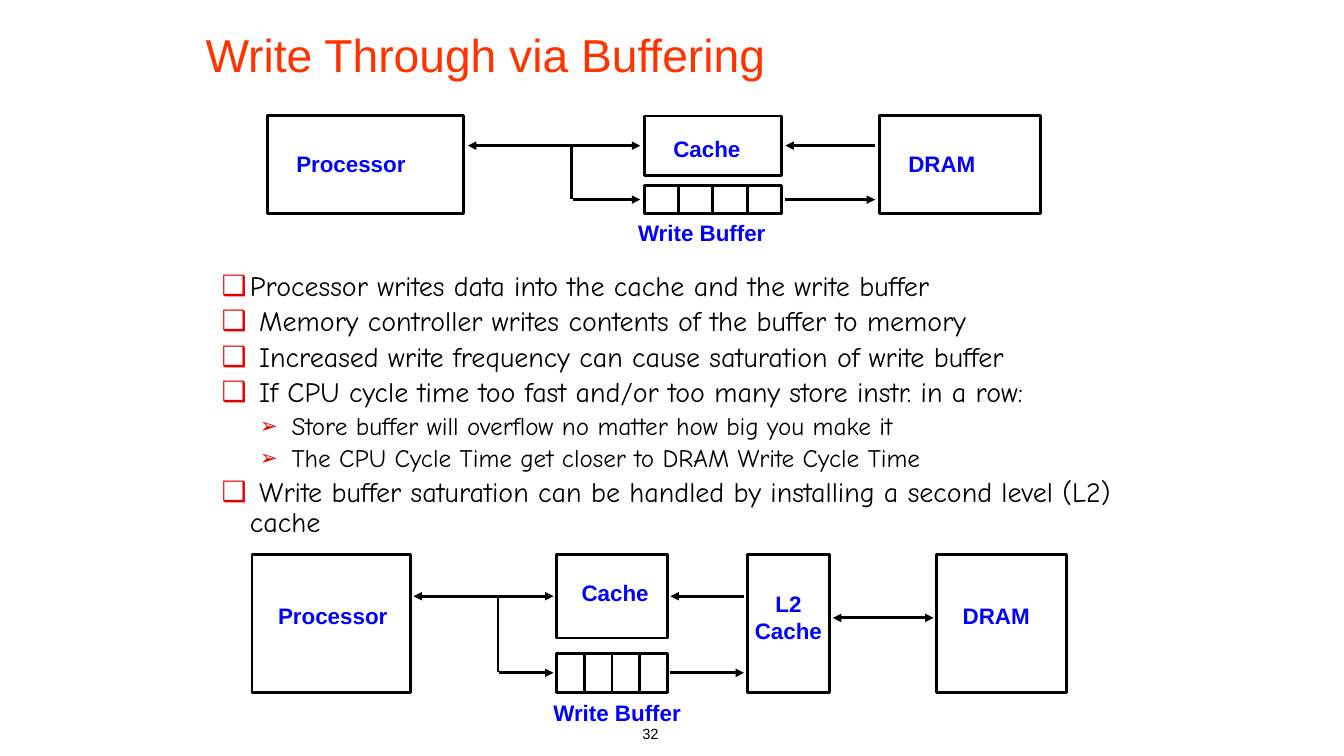
"""Build the slide on write-through caching with a write buffer."""
from collections import namedtuple

from lxml import etree
from pptx import Presentation
from pptx.dml.color import RGBColor
from pptx.enum.shapes import MSO_CONNECTOR, MSO_SHAPE
from pptx.enum.text import MSO_ANCHOR, MSO_AUTO_SIZE, PP_ALIGN
from pptx.oxml.ns import qn
from pptx.util import Inches, Pt

RECTANGLE = MSO_SHAPE.RECTANGLE
STRAIGHT = MSO_CONNECTOR.STRAIGHT
LEFT, CENTER, RIGHT = PP_ALIGN.LEFT, PP_ALIGN.CENTER, PP_ALIGN.RIGHT
TOP, MIDDLE = MSO_ANCHOR.TOP, MSO_ANCHOR.MIDDLE
FIXED, GROW = MSO_AUTO_SIZE.NONE, MSO_AUTO_SIZE.SHAPE_TO_FIT_TEXT

COLORS = {"ink": "000000", "title": "FF3300", "label": "0000FF", "bullet": "E40000"}
Box = namedtuple("Box", "left top width height")

POINTS = [
    (0, "Processor writes data into the cache and the write buffer"),
    (0, " Memory controller writes contents of the buffer to memory"),
    (0, " Increased write frequency can cause saturation of write buffer"),
    (0, " If CPU cycle time too fast and/or too many store instr. in a row:"),
    (1, " Store buffer will overflow no matter how big you make it"),
    (1, " The CPU Cycle Time get closer to DRAM Write Cycle Time"),
    (0, " Write buffer saturation can be handled by installing a second level (L2) cache"),
]
LEVELS = [
    {"size": 20, "margin": 0.28, "hanging": 0.28, "mark": "❑", "percent": 100},
    {"size": 18, "margin": 0.61, "hanging": 0.23, "mark": "➢", "percent": 85},
]


def write(paragraph, text, size=16, color="label", font="Arial", bold=False, align=LEFT):
    paragraph.alignment = align
    run = paragraph.add_run()
    run.text = text
    run.font.size = Pt(size)
    run.font.name = font
    run.font.bold = bold
    run.font.color.rgb = RGBColor.from_string(COLORS[color])


class SlideBuilder:
    """Draw text, boxes and lines on one slide in a shared style."""

    def __init__(self, slide, line_width=2):
        self.slide = slide
        self.line_width = line_width

    def frame(self, box, wrap=True, anchor=TOP):
        shape = self.slide.shapes.add_textbox(*map(Inches, box))
        shape.text_frame.word_wrap = wrap
        shape.text_frame.auto_size = FIXED if wrap else GROW
        shape.text_frame.vertical_anchor = anchor
        return shape.text_frame

    def text(self, box, text, wrap=True, anchor=TOP, **style):
        frame = self.frame(box, wrap, anchor)
        for index, line in enumerate(text.split("\n")):
            paragraph = frame.add_paragraph() if index else frame.paragraphs[0]
            write(paragraph, line, **style)

    def label(self, box, text, align=LEFT):
        self.text(box, text, wrap=False, bold=True, align=align)

    def bullets(self, box, points):
        frame = self.frame(box)
        for index, (depth, text) in enumerate(points):
            level = LEVELS[depth]
            paragraph = frame.add_paragraph() if index else frame.paragraphs[0]
            paragraph.level = depth
            paragraph.line_spacing = 0.9
            paragraph.space_before = Pt(level["size"] * 0.19 if index else 0)
            properties = paragraph._p.get_or_add_pPr()
            properties.set("marL", str(Inches(level["margin"])))
            properties.set("indent", str(-Inches(level["hanging"])))
            color = etree.SubElement(properties, qn("a:buClr"))
            etree.SubElement(color, qn("a:srgbClr"), val=COLORS["bullet"])
            etree.SubElement(properties, qn("a:buSzPct"), val=str(level["percent"] * 1000))
            etree.SubElement(properties, qn("a:buFont"), typeface="Arial")
            etree.SubElement(properties, qn("a:buChar"), char=level["mark"])
            write(paragraph, text, size=level["size"], color="ink", font="Comic Neue")

    def rectangle(self, box):
        shape = self.slide.shapes.add_shape(RECTANGLE, *map(Inches, box))
        shape.shadow.inherit = False
        shape.fill.background()
        shape.line.color.rgb = RGBColor.from_string(COLORS["ink"])
        shape.line.width = Pt(self.line_width)
        return shape

    def line(self, x1, y1, x2, y2, ends=()):
        connector = self.slide.shapes.add_connector(STRAIGHT, *map(Inches, (x1, y1, x2, y2)))
        connector.line.color.rgb = RGBColor.from_string(COLORS["ink"])
        connector.line.width = Pt(self.line_width)
        outline = connector.line._get_or_add_ln()
        for end in ends:
            etree.SubElement(outline, qn(f"a:{end}End"), type="triangle")
        etree.SubElement(connector._element.spPr, qn("a:effectLst"))
        return connector

    def buffer(self, box, cells=4):
        shape = self.rectangle(box)
        for index in range(1, cells):
            x = box.left + box.width * index / cells
            divider = self.line(x, box.top, x, box.top + box.height)
            if index * 2 == cells:
                divider.begin_connect(shape, 0)
                divider.end_connect(shape, 2)

    def write_path(self, processor, cache, buffer, memory, branch, gap):
        for box in (processor, cache, memory):
            self.rectangle(box)
        self.buffer(buffer)
        cache_y = cache.top + cache.height / 2
        buffer_y = buffer.top + buffer.height / 2
        start = processor.left + processor.width + gap
        inlet = cache.left - gap
        outlet = cache.left + cache.width + gap
        end = memory.left - gap
        self.line(start, cache_y, inlet, cache_y, ("head", "tail"))
        self.line(outlet, cache_y, end, cache_y, ("head",))
        self.line(branch, cache_y + 0.01, branch, buffer_y - 0.01)
        self.line(branch + 0.01, buffer_y, inlet, buffer_y, ("tail",))
        self.line(outlet, buffer_y, end, buffer_y, ("tail",))


def main():
    presentation = Presentation()
    presentation.slide_width = Inches(13.33)
    presentation.slide_height = Inches(7.5)
    builder = SlideBuilder(presentation.slides.add_slide(presentation.slide_layouts[6]))

    builder.text((3.85, 7.14, 2.78, 0.5), "32", size=10.5, color="ink", align=RIGHT)
    builder.text((1.94, 0, 11.03, 1.07), "Write Through via Buffering",
                 size=33, color="title", anchor=MIDDLE)
    builder.bullets((2.1, 2.65, 9.33, 2.79), POINTS)

    builder.write_path(
        processor=Box(2.65, 1.15, 1.95, 0.97), cache=Box(6.39, 1.15, 1.36, 0.59),
        buffer=Box(6.39, 1.84, 1.36, 0.28), memory=Box(8.72, 1.15, 1.6, 0.97),
        branch=5.67, gap=0.04)
    builder.label((2.84, 1.44, 1.31, 0.37), "Processor")
    builder.label((6.58, 1.29, 0.89, 0.37), "Cache")
    builder.label((6.23, 2.13, 1.48, 0.37), "Write Buffer")
    builder.label((8.91, 1.44, 0.89, 0.37), "DRAM")

    builder.write_path(
        processor=Box(2.5, 5.5, 1.57, 1.37), cache=Box(5.52, 5.5, 1.1, 0.83),
        buffer=Box(5.52, 6.48, 1.1, 0.39), memory=Box(7.41, 5.5, 0.82, 1.37),
        branch=4.94, gap=0.03)
    builder.rectangle((9.29, 5.5, 1.29, 1.37))
    builder.line(8.26, 6.13, 9.26, 6.13, ("head", "tail"))
    builder.label((2.66, 5.92, 1.31, 0.37), "Processor")
    builder.label((5.67, 5.7, 0.89, 0.37), "Cache")
    builder.label((5.39, 6.89, 1.48, 0.37), "Write Buffer")
    builder.label((7.37, 5.81, 0.9, 0.63), "L2\nCache", align=CENTER)
    builder.label((9.45, 5.92, 0.89, 0.37), "DRAM")

    presentation.save("out.pptx")


if __name__ == "__main__":
    main()
